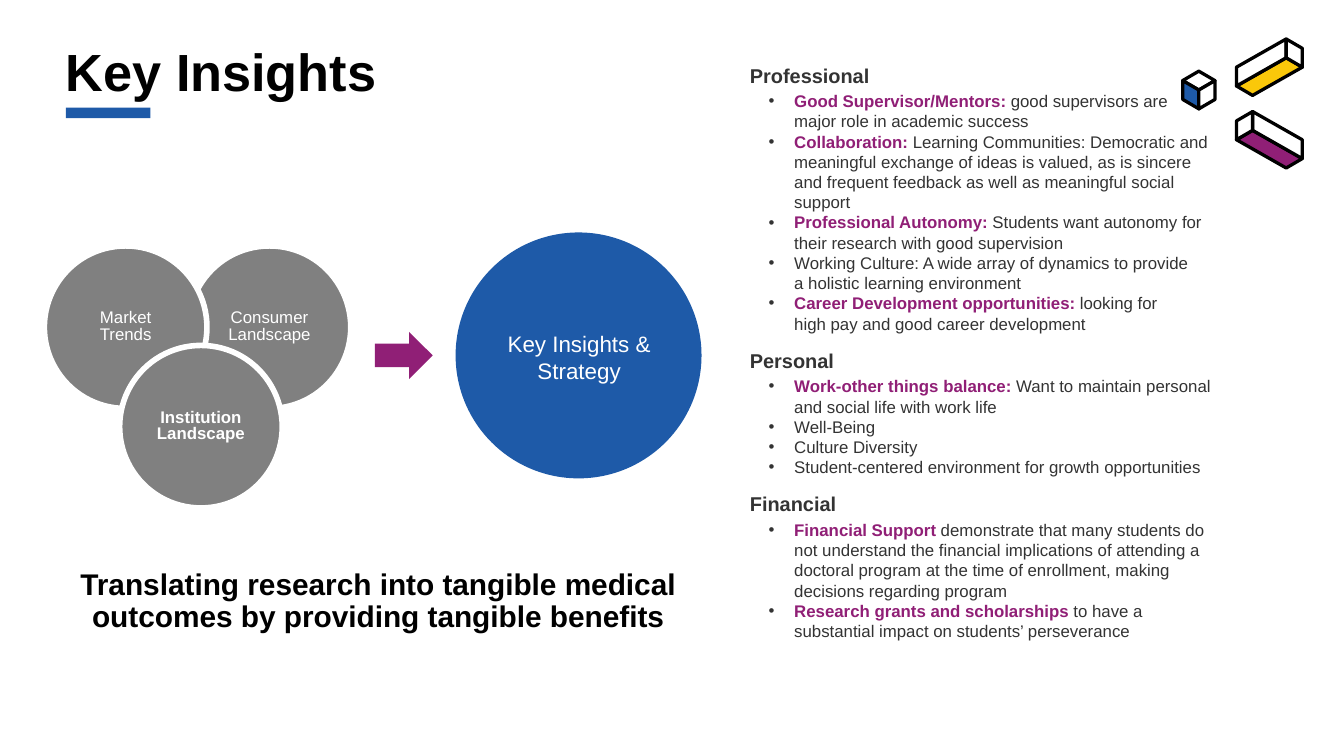
from dataclasses import dataclass

from lxml import etree
from pptx import Presentation
from pptx.dml.color import RGBColor
from pptx.enum.shapes import MSO_SHAPE
from pptx.enum.text import MSO_ANCHOR, PP_ALIGN
from pptx.oxml.ns import qn
from pptx.util import Inches, Pt

OVAL, ARROW, RECT = MSO_SHAPE.OVAL, MSO_SHAPE.RIGHT_ARROW, MSO_SHAPE.RECTANGLE
LEFT, CENTER = PP_ALIGN.LEFT, PP_ALIGN.CENTER
TOP, MIDDLE = MSO_ANCHOR.TOP, MSO_ANCHOR.MIDDLE


@dataclass(frozen=True)
class Theme:
    font: str = "Arial"
    blue: str = "1E5AA8"
    plum: str = "901F76"
    gold: str = "FAC80A"
    gray: str = "808080"
    ink: str = "333333"
    black: str = "000000"
    white: str = "FFFFFF"
    title: float = 28
    claim: float = 16
    goal: float = 12
    head: float = 10.7
    body: float = 9


T = Theme()

TOPICS = [
    ("Professional", [
        ("Good Supervisor/Mentors:", " good supervisors are \nmajor role in academic success"),
        ("Collaboration:", " Learning Communities: Democratic and meaningful exchange of ideas "
         "is valued, as is sincere and frequent feedback as well as meaningful social support"),
        ("Professional Autonomy:", " Students want autonomy for \n"
         "their research with good supervision"),
        ("", "Working Culture: A wide array of dynamics to provide \na holistic learning environment"),
        ("Career Development opportunities: ", "looking for \nhigh pay and good career development"),
    ]),
    ("Personal", [
        ("Work-other things balance: ",
         "Want to maintain personal and social life with work life"),
        ("", "Well-Being"),
        ("", "Culture Diversity"),
        ("", "Student-centered environment for growth opportunities"),
    ]),
    ("Financial", [
        ("Financial Support ", "demonstrate that many students do not understand the financial "
         "implications of attending a doctoral program at the time of enrollment, "
         "making decisions regarding program"),
        ("Research grants and scholarships ",
         "to have a substantial impact on students’ perseverance"),
    ]),
]


def apply(target, form):
    for name, value in form.items():
        setattr(target, name, value)


def write(para, text, size, color, bold=False):
    for i, line in enumerate(text.split("\n")):
        if i:
            para.add_line_break()
        run = para.add_run()
        run.text = line
        apply(run.font, {"name": T.font, "size": Pt(size), "bold": bold})
        run.font.color.rgb = RGBColor.from_string(color)


def frame(slide, x, y, w, h, anchor=TOP):
    text = slide.shapes.add_textbox(Inches(x), Inches(y), Inches(w), Inches(h)).text_frame
    apply(text, {"word_wrap": True, "vertical_anchor": anchor, "margin_left": 0,
                 "margin_right": 0, "margin_top": 0, "margin_bottom": 0})
    return text


def label(slide, box, lines, size, color, bold=False, align=CENTER, space=1.0, anchor=TOP):
    text = frame(slide, *box, anchor)
    for i, line in enumerate(lines):
        para = text.add_paragraph() if i else text.paragraphs[0]
        apply(para, {"alignment": align, "line_spacing": space})
        write(para, line, size, color, bold)


def paint(shape, fill, edge=None, width=3):
    shape.shadow.inherit = False
    shape.fill.solid()
    shape.fill.fore_color.rgb = RGBColor.from_string(fill)
    if edge:
        shape.line.color.rgb = RGBColor.from_string(edge)
        shape.line.width = Pt(width)
    else:
        shape.line.fill.background()


def solid(slide, kind, x, y, w, h, fill, edge=None):
    shape = slide.shapes.add_shape(kind, Inches(x), Inches(y), Inches(w), Inches(h))
    paint(shape, fill, edge)


def face(slide, x, y, points, fill):
    spots = [(Inches(x + px), Inches(y + py)) for px, py in points]
    pen = slide.shapes.build_freeform(*spots[0], scale=1.0)
    pen.add_line_segments(spots[1:], close=True)
    shape = pen.convert_to_shape()
    paint(shape, fill, T.black, 1.75)
    etree.SubElement(shape.element.spPr.find(qn("a:ln")), qn("a:round"))


def flip(points, width):
    return [(width - x, y) for x, y in points]


def blocks(slide, x, y):
    floor = [(0.12, 0.14), (0, 0.21), (0.37, 0.42), (0.49, 0.35)]
    back = [(0.12, 0), (0.12, 0.14), (0.49, 0.35), (0.49, 0.21)]
    side = [(0.12, 0), (0, 0.07), (0, 0.21), (0.12, 0.14)]
    for points, tint in ((floor, None), (back, T.white), (side, T.white)):
        face(slide, x + 0.4, y, flip(points, 0.49), tint or T.gold)
        face(slide, x + 0.4, y + 0.54, points, tint or T.plum)
    lid = [(0.12, 0), (0, 0.07), (0.12, 0.14), (0.24, 0.07)]
    wall = [(0, 0.07), (0, 0.21), (0.12, 0.28), (0.12, 0.14)]
    for points, tint in ((lid, T.white), (wall, T.blue), (flip(wall, 0.24), T.white)):
        face(slide, x, y + 0.24, points, tint)


def header(slide, x, y):
    label(slide, (x, y, 7.41, 0.38), ["Key Insights"], T.title, T.black, True, LEFT, 0.8)
    solid(slide, RECT, x, y + 0.42, 0.63, 0.08, T.blue)


def venn(slide, x, y):
    size = 1.21
    parts = [
        (1.07, 0, 1.27, 0.47, 0.81, ["Consumer", "Landscape"], False),
        (0, 0, 0.17, 0.47, 0.87, ["Market", "Trends"], False),
        (0.56, 0.74, 0.73, 1.21, 0.87, ["Institution", "Landscape"], True),
    ]
    for dx, dy, *_ in parts:
        solid(slide, OVAL, x + dx, y + dy, size, size, T.gray, T.white)
    for _, _, tx, ty, w, lines, bold in parts:
        label(slide, (x + tx, y + ty, w, 0.27), lines, T.body, T.white, bold,
              space=0.8, anchor=MIDDLE)


def goal(slide, x, y):
    solid(slide, ARROW, x, y + 0.74, 0.43, 0.35, T.plum)
    solid(slide, OVAL, x + 0.6, y, 1.83, 1.83, T.blue)
    label(slide, (x + 0.82, y + 0.73, 1.4, 0.4), ["Key Insights &\nStrategy"], T.goal, T.white)


def bullet(para):
    props = para._p.get_or_add_pPr()
    props.set("marL", str(Inches(0.33)))
    props.set("indent", str(Inches(-0.19)))
    tint = etree.SubElement(props, qn("a:buClr"))
    etree.SubElement(tint, qn("a:srgbClr"), val=T.ink)
    etree.SubElement(props, qn("a:buFont"), typeface=T.font)
    etree.SubElement(props, qn("a:buChar"), char="•")


def topics(slide, x, y, w, h):
    text = frame(slide, x, y, w, h)
    for i, (head, items) in enumerate(TOPICS):
        para = text.add_paragraph() if i else text.paragraphs[0]
        if i:
            para.space_before = Pt(8)
        write(para, head, T.head, T.ink, True)
        for j, (lead, rest) in enumerate(items):
            para = text.add_paragraph()
            bullet(para)
            para.space_before = Pt(0 if j else 2)
            if lead:
                write(para, lead, T.body, T.plum, True)
            write(para, rest, T.body, T.ink)


def main():
    deck = Presentation()
    wide = Inches(10)
    apply(deck, {"slide_width": wide, "slide_height": wide * 9 // 16})
    slide = deck.slides.add_slide(deck.slide_layouts[6])
    blocks(slide, 8.8, 0.29)
    header(slide, 0.49, 0.38)
    venn(slide, 0.33, 1.83)
    topics(slide, 5.58, 0.47, 3.44, 4.69)
    goal(slide, 2.79, 1.73)
    claim = "Translating research into tangible medical outcomes by providing tangible benefits"
    label(slide, (0.49, 4.24, 4.65, 0.48), [claim], T.claim, T.black, True, space=0.9)
    deck.save("out.pptx")


if __name__ == "__main__":
    main()
